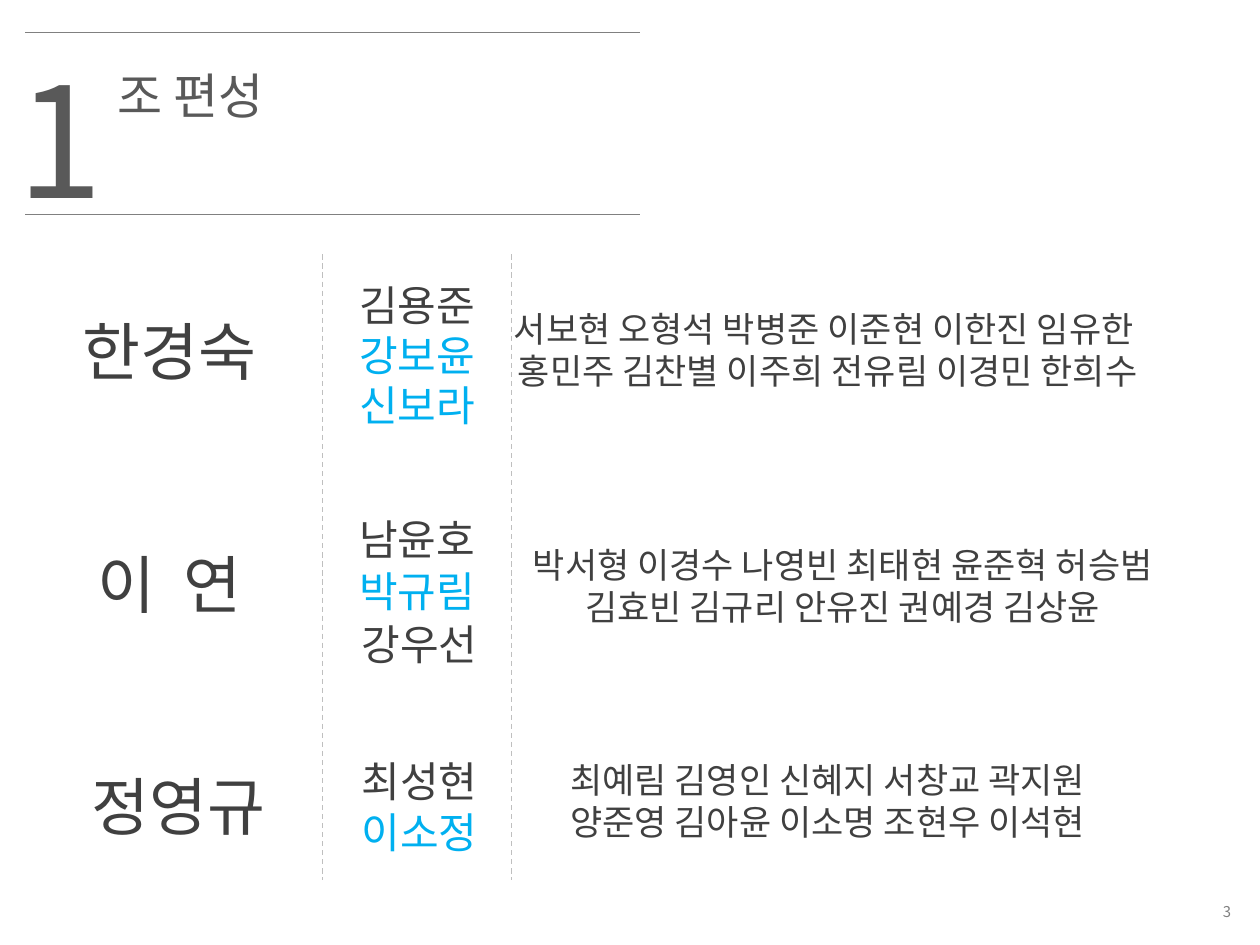
from dataclasses import dataclass

from lxml import etree
from pptx import Presentation
from pptx.dml.color import RGBColor
from pptx.enum.dml import MSO_LINE
from pptx.enum.shapes import MSO_CONNECTOR
from pptx.enum.text import MSO_ANCHOR, MSO_AUTO_SIZE, PP_ALIGN
from pptx.oxml.ns import qn
from pptx.util import Pt

LEFT, CENTER, RIGHT = PP_ALIGN.LEFT, PP_ALIGN.CENTER, PP_ALIGN.RIGHT
TOP, MIDDLE = MSO_ANCHOR.TOP, MSO_ANCHOR.MIDDLE
GROW = MSO_AUTO_SIZE.SHAPE_TO_FIT_TEXT
STRAIGHT = MSO_CONNECTOR.STRAIGHT
DASH = MSO_LINE.DASH


@dataclass(frozen=True)
class Theme:
    font: str = "Noto Sans CJK KR"
    heading: str = "595959"
    text: str = "404040"
    accent: str = "00B0F0"
    rule: str = "808080"
    divider: str = "BFBFBF"
    number_size: float = 88
    title_size: float = 28
    leader_size: float = 36
    member_size: float = 24
    roster_size: float = 20
    page_size: float = 8.5
    leading: float = 1.2
    drop: float = 0.085  # baseline correction, as a share of the type size
    hanging: float = 27


theme = Theme()


def set_text(box, place, text, size, color, align=CENTER, anchor=TOP):
    box.left, box.top, box.width, box.height = map(Pt, place)
    frame = box.text_frame
    frame.text = text
    frame.word_wrap = True
    frame.vertical_anchor = anchor
    if anchor == TOP:
        frame.auto_size = GROW
        frame.margin_top = Pt(round(3.6 + theme.drop * size, 2))
        frame.margin_bottom = Pt(round(max(0, 3.6 - theme.drop * size), 2))
    for para in frame.paragraphs:
        para.alignment = align
        para.line_spacing = Pt(theme.leading * size)
        if anchor == TOP:
            properties = para._p.get_or_add_pPr()
            properties.set("marL", str(Pt(theme.hanging)))
            properties.set("indent", str(-Pt(theme.hanging)))
        for span in para.runs:
            span.font.name = theme.font
            span.font.size = Pt(size)
            span.font.color.rgb = RGBColor.from_string(color)
            east_asian = etree.SubElement(span.font._element, qn("a:ea"))
            east_asian.set("typeface", theme.font)


def add_line(x1, y1, x2, y2, color, dash=None):
    line = page.shapes.add_connector(STRAIGHT, Pt(x1), Pt(y1), Pt(x2), Pt(y2))
    line.line.color.rgb = RGBColor.from_string(color)
    line.line.width = Pt(0.75)
    if dash:
        line.line.dash_style = dash
    etree.SubElement(line._element.spPr, qn("a:effectLst"))


deck = Presentation()
deck.slide_width, deck.slide_height = Pt(720), Pt(540)
page = deck.slides.add_slide(deck.slide_layouts[5])

# Heading: title, section number and the rules around them
set_text(page.shapes.title, (59.8, 31.7, 323.3, 41), "조 편성",
         theme.title_size, theme.heading, LEFT)
number = page.shapes.add_textbox(0, 0, 0, 0)
set_text(number, (2.9, 14.4, 56.9, 113.8), "1",
         theme.number_size, theme.heading, LEFT)
for y in (18.7, 122.4):
    add_line(14.4, y, 365.8, y, theme.rule)

# Groups: leader, members (name, left, colour) and roster, each with its place
groups = [
    ("한경숙", (25.9, 172.1), 154, 28.5,
     [("김용준", 195.8, theme.text), ("강보윤", 195.8, theme.accent),
      ("신보라", 195.8, theme.accent)],
     "서보현 오형석 박병준 이준현 이한진 임유한 \n홍민주 김찬별 이주희 전유림 이경민 한희수",
     (212.4, 170.6, 521.3)),
    ("이  연", (25.9, 305.3), 288, 29.8,
     [("남윤호", 195.8, theme.text), ("박규림", 195.8, theme.accent),
      ("강우선", 197.3, theme.text)],
     "박서형 이경수 나영빈 최태현 윤준혁 허승범\n김효빈 김규리 안유진 권예경 김상윤",
     (260.6, 305.3, 442.1)),
    ("정영규", (31, 432), 426.2, 28.8,
     [("최성현", 197.3, theme.text), ("이소정", 197.3, theme.accent)],
     "최예림 김영인 신혜지 서창교 곽지원\n양준영 김아윤 이소명 조현우 이석현",
     (252, 428.4, 442.1)),
]
for leader, leader_place, first_top, pitch, members, roster, roster_place in groups:
    box = page.shapes.add_textbox(0, 0, 0, 0)
    set_text(box, (*leader_place, 141.8, 51.1), leader, theme.leader_size, theme.text)
    for row, (member, left, color) in enumerate(members):
        box = page.shapes.add_textbox(0, 0, 0, 0)
        set_text(box, (left, first_top + row * pitch, 85, 36), member,
                 theme.member_size, color)
    box = page.shapes.add_textbox(0, 0, 0, 0)
    set_text(box, (*roster_place, 55.4), roster, theme.roster_size, theme.text)

# Dashed column dividers
for x in (184.3, 292.3):
    add_line(x, 145.4, x, 502.6, theme.divider, DASH)

# Page number
page_number = page.shapes.add_textbox(0, 0, 0, 0)
set_text(page_number, (558.7, 511.2, 151.9, 19.4), "3",
         theme.page_size, theme.rule, RIGHT, MIDDLE)

deck.save("out.pptx")
